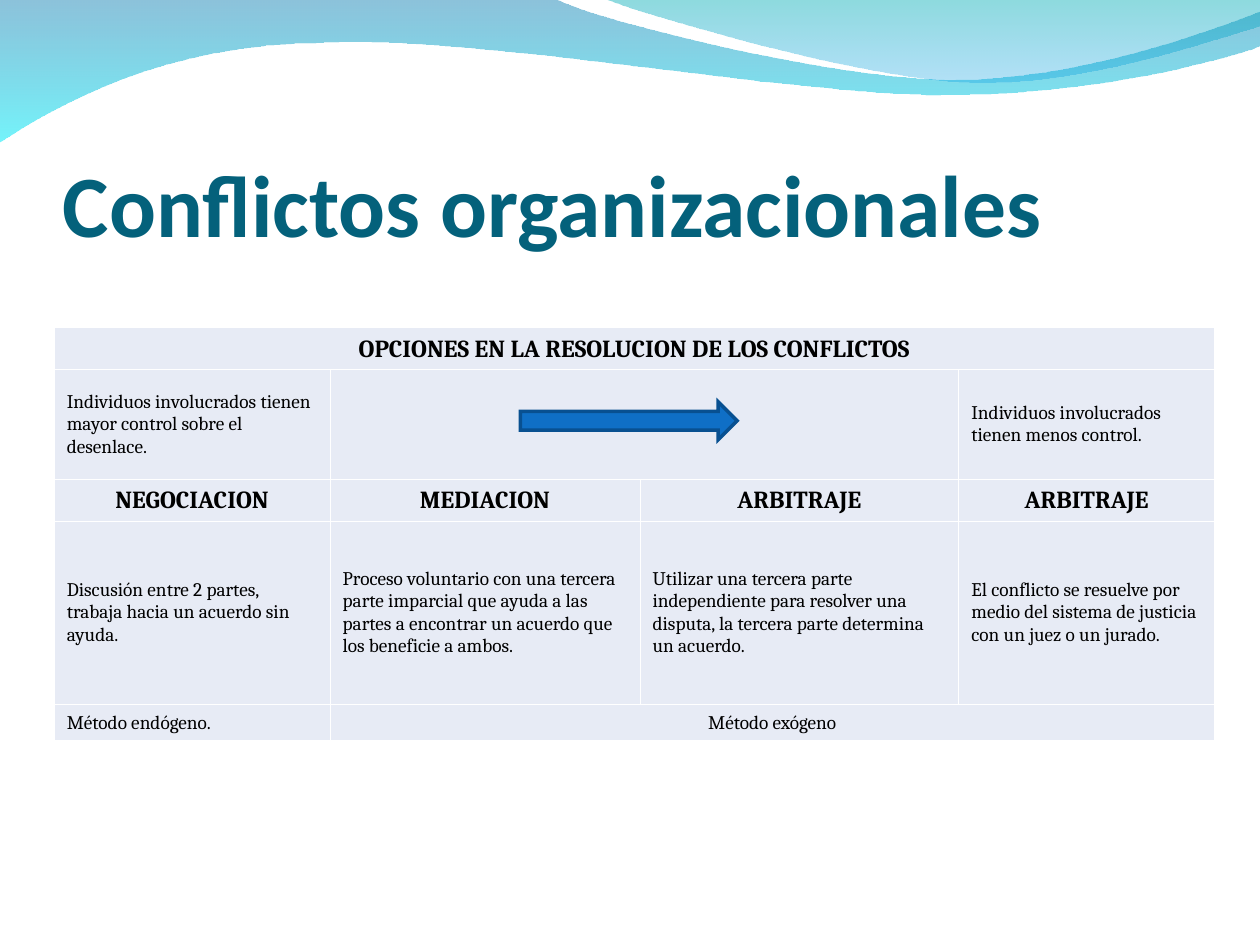
from lxml import etree
from pptx import Presentation
from pptx.dml.color import RGBColor
from pptx.enum.shapes import MSO_SHAPE
from pptx.enum.text import MSO_ANCHOR, PP_ALIGN
from pptx.oxml.ns import qn
from pptx.util import Inches, Pt

LEFT, CENTER = PP_ALIGN.LEFT, PP_ALIGN.CENTER
MIDDLE, BOTTOM = MSO_ANCHOR.MIDDLE, MSO_ANCHOR.BOTTOM
ARROW = MSO_SHAPE.RIGHT_ARROW

THEME = {
    "title_font": "Calibri", "title_size": 50, "title": "04617B",
    "table_font": "Cambria", "head_size": 14, "body_size": 11,
    "text": "000000", "cell": "E7EBF5", "border": "FFFFFF", "border_width": 0.45,
    "arrow": "0F6FC6", "arrow_line": "085091", "arrow_width": 2,
}

TITLE = "Conflictos organizacionales"

# Segments: one point is a straight line, three points are a Bézier curve.
# Gradient stops run from top to bottom as (colour, opacity in percent).
WAVES = [
    {"start": (0, -0.01),
     "segments": [[(4.4, -0.01)],
                  [(4.76, 0.17), (6.64, 0.63), (7.58, 0.63)],
                  [(8.53, 0.63), (9.58, 0.26), (10, 0.09)],
                  [(10.01, 0.36)],
                  [(9.83, 0.44), (8.7, 0.76), (7.46, 0.75)],
                  [(6.22, 0.75), (3.82, 0.28), (2.57, 0.34)],
                  [(1.29, 0.35), (0.46, 0.83), (-0.01, 1.13)],
                  [(0, -0.01)]],
     "stops": [("0079AF", 45), ("00EBF8", 55)]},
    {"start": (4.79, -0.01),
     "segments": [[(5.09, 0.11), (6.82, 0.62), (7.69, 0.65)],
                  [(8.56, 0.69), (9.61, 0.32), (10, 0.21)],
                  [(10, 0)],
                  [(4.79, -0.01)]],
     "stops": [("00ADB6", 45), ("009BE5", 30)]},
]

COLUMNS = [2.19, 2.46, 2.53, 2.03]
# Style: (type size, bold, alignment, vertical anchor)
HEAD = ("head_size", True, CENTER, BOTTOM)
BODY = ("body_size", False, LEFT, MIDDLE)
METHOD = ("body_size", False, LEFT, BOTTOM)
METHOD_CENTERED = ("body_size", False, CENTER, BOTTOM)

# Row: height, then cells as (text, columns spanned, style)
ROWS = [
    (0.29, [("OPCIONES EN LA RESOLUCION DE LOS CONFLICTOS", 4, HEAD)]),
    (0.87, [("Individuos involucrados tienen mayor control sobre el desenlace.", 1, BODY),
            ("", 2, BODY),
            ("Individuos involucrados tienen menos control.", 1, BODY)]),
    (0.29, [("NEGOCIACION", 1, HEAD), ("MEDIACION", 1, HEAD),
            ("ARBITRAJE", 1, HEAD), ("ARBITRAJE", 1, HEAD)]),
    (1.45, [("Discusión entre 2 partes, trabaja hacia un acuerdo sin ayuda.", 1, BODY),
            ("Proceso voluntario con una tercera parte imparcial que ayuda a las partes "
             "a encontrar un acuerdo que los beneficie a ambos.", 1, BODY),
            ("Utilizar una tercera parte independiente para resolver una disputa, "
             "la tercera parte determina un acuerdo.", 1, BODY),
            ("El conflicto se resuelve por medio del sistema de justicia "
             "con un juez o un jurado.", 1, BODY)]),
    (0.29, [("Método endógeno.", 1, METHOD), ("Método exógeno", 3, METHOD_CENTERED)]),
]


def rgb(name):
    return RGBColor.from_string(THEME[name])


def add_run(p, text, font, size, color, bold):
    r = p.add_run()
    r.text = text
    r.font.name, r.font.size, r.font.bold = THEME[font], Pt(THEME[size]), bold
    r.font.color.rgb = rgb(color)


def bend_segments(sp, segments):
    """Join the three lines drawn for each curve into one cubic Bézier."""
    lines = iter(list(sp._element.spPr.iter(qn("a:lnTo"))))
    for segment in segments:
        group = [next(lines) for _ in segment]
        if len(group) == 3:
            curve = etree.Element(qn("a:cubicBezTo"))
            group[0].addprevious(curve)
            for line in group:
                curve.append(line[0])
                line.getparent().remove(line)


def add_wave(s, start, segments, stops):
    builder = s.shapes.build_freeform(Inches(start[0]), Inches(start[1]))
    builder.add_line_segments([(Inches(x), Inches(y)) for seg in segments for x, y in seg],
                              close=True)
    sp = builder.convert_to_shape()
    bend_segments(sp, segments)
    sp.shadow.inherit = False
    sp.line.fill.background()
    sp.fill.gradient()
    sp.fill.gradient_angle = 270
    for stop, (color, _) in zip(sp.fill.gradient_stops, stops):
        stop.color.rgb = RGBColor.from_string(color)
    colors = sp._element.spPr.iter(qn("a:srgbClr"))
    for node, (_, opacity) in zip(colors, stops):
        etree.SubElement(node, qn("a:alpha")).set("val", str(opacity * 1000))


def add_title(s):
    tf = s.shapes.add_textbox(Inches(0.5), Inches(0.77), Inches(9), Inches(1.25)).text_frame
    tf.word_wrap = True
    tf.vertical_anchor = BOTTOM
    tf.margin_left = tf.margin_right = tf.margin_bottom = 0
    add_run(tf.paragraphs[0], TITLE, "title_font", "title_size", "title", True)


def add_borders(cell):
    tc_pr = cell._tc.get_or_add_tcPr()
    for i, side in enumerate(("a:lnL", "a:lnR", "a:lnT", "a:lnB")):
        ln = etree.Element(qn(side), w=str(Pt(THEME["border_width"])))
        fill = etree.SubElement(ln, qn("a:solidFill"))
        etree.SubElement(fill, qn("a:srgbClr"), val=THEME["border"])
        tc_pr.insert(i, ln)


def add_options_table(s):
    heights = [height for height, _ in ROWS]
    table = s.shapes.add_table(len(ROWS), len(COLUMNS), Inches(0.43), Inches(2.6),
                               Inches(sum(COLUMNS)), Inches(sum(heights))).table
    table.first_row = table.horz_banding = False
    for column, width in zip(table.columns, COLUMNS):
        column.width = Inches(width)
    for row, height in zip(table.rows, heights):
        row.height = Inches(height)
    for cell in table.iter_cells():
        cell.fill.solid()
        cell.fill.fore_color.rgb = rgb("cell")
        add_borders(cell)
    for i, (_, cells) in enumerate(ROWS):
        j = 0
        for text, span, (size, bold, align, anchor) in cells:
            cell = table.cell(i, j)
            if span > 1:
                cell.merge(table.cell(i, j + span - 1))
            if text:
                cell.vertical_anchor = anchor
                p = cell.text_frame.paragraphs[0]
                p.alignment = align
                add_run(p, text, "table_font", size, "text", bold)
            j += span


def add_control_arrow(s):
    sp = s.shapes.add_shape(ARROW, Inches(4.13), Inches(3.19), Inches(1.72), Inches(0.3))
    sp.shadow.inherit = False
    sp.fill.solid()
    sp.fill.fore_color.rgb = rgb("arrow")
    sp.line.color.rgb = rgb("arrow_line")
    sp.line.width = Pt(THEME["arrow_width"])
    etree.SubElement(sp.line._get_or_add_ln(), qn("a:miter"), lim="800000")


def main():
    prs = Presentation()
    prs.slide_width, prs.slide_height = Inches(10), Inches(7.5)
    s = prs.slides.add_slide(prs.slide_layouts[6])
    for wave in WAVES:
        add_wave(s, **wave)
    add_title(s)
    add_options_table(s)
    add_control_arrow(s)
    prs.save("out.pptx")


if __name__ == "__main__":
    main()
